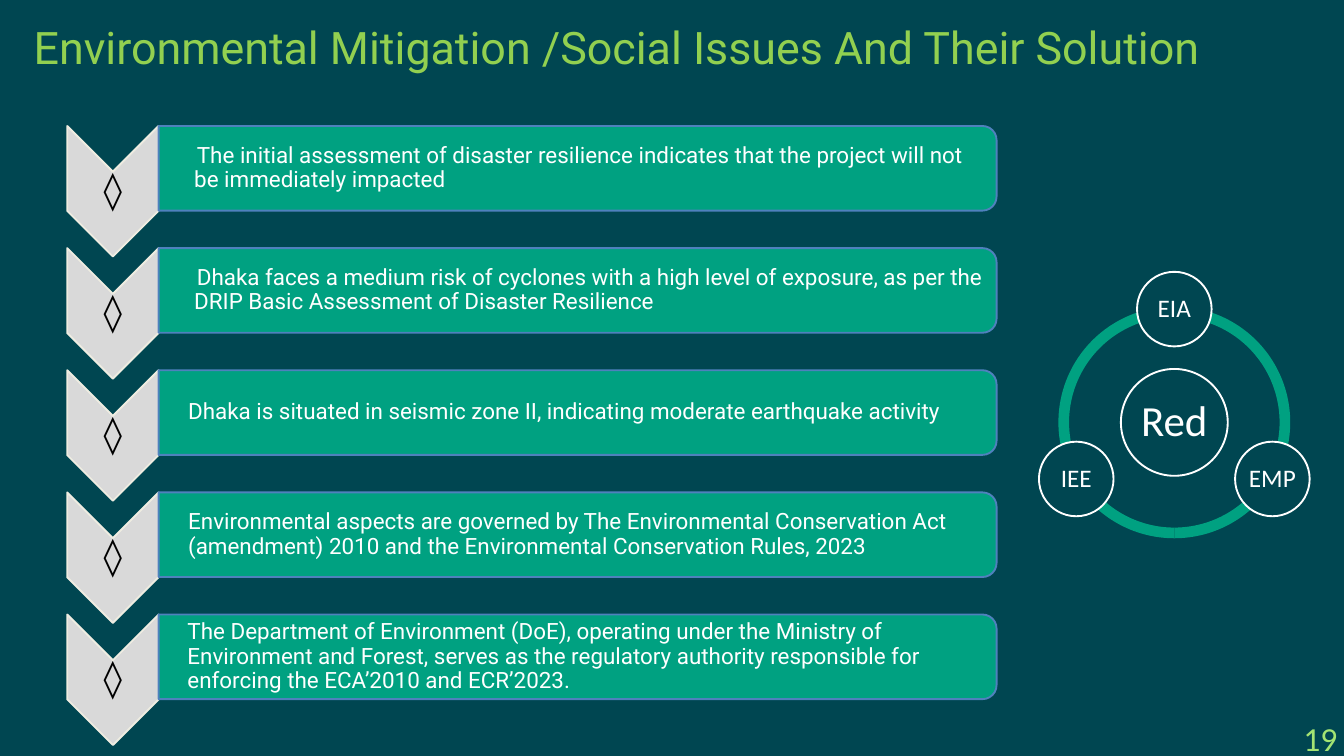
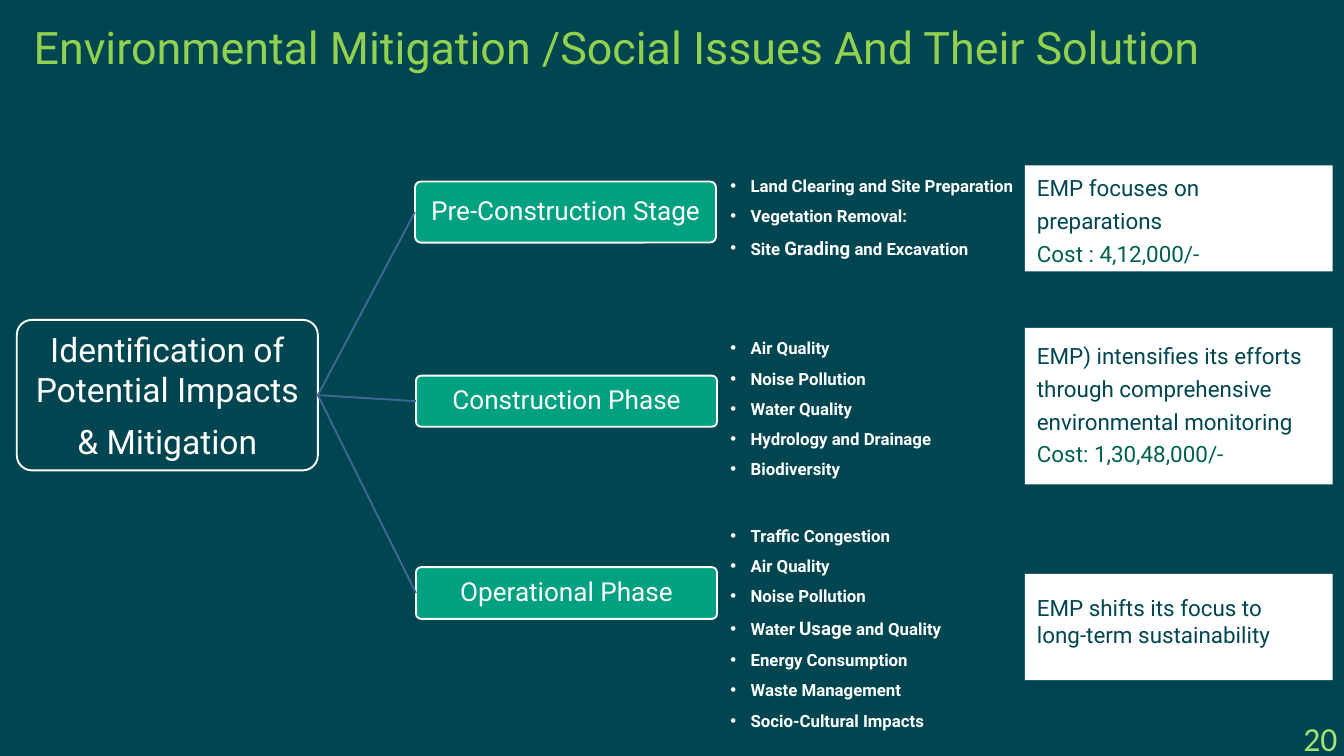
from dataclasses import dataclass
from math import cos, radians, sin

from lxml.etree import SubElement
from pptx import Presentation
from pptx.dml.color import RGBColor
from pptx.enum.shapes import MSO_CONNECTOR, MSO_SHAPE
from pptx.enum.text import MSO_ANCHOR, PP_ALIGN
from pptx.oxml.ns import qn
from pptx.util import Inches, Pt

COLUMNS, ROWS = 80, 45
CELL = Inches(0.25)

TEAL = RGBColor(0x00, 0x46, 0x51)
GREEN = RGBColor(0x00, 0xA1, 0x81)
LIME = RGBColor(0x92, 0xD0, 0x50)
PALE_LIME = RGBColor(0xA4, 0xE4, 0x73)
COST_GREEN = RGBColor(0x00, 0x60, 0x4E)
WHITE = RGBColor(0xFF, 0xFF, 0xFF)
BLACK = RGBColor(0x00, 0x00, 0x00)
GREY = RGBColor(0xD9, 0xD9, 0xD9)
CREAM = RGBColor(0xEE, 0xEC, 0xE1)
BLUE = RGBColor(0x4F, 0x81, 0xBD)
BRANCH_BLUE = RGBColor(0x3F, 0x67, 0x97)

TITLE = "Environmental Mitigation /Social Issues And Their Solution"

FINDINGS = [
    ("The initial assessment of disaster resilience indicates that the project "
     "will not be immediately impacted", 0.53, 0.04),
    ("Dhaka faces a medium risk of cyclones with a high level of exposure, as per "
     "the DRIP Basic Assessment of Disaster Resilience", 0.53, 0.04),
    ("Dhaka is situated in seismic zone II, indicating moderate earthquake activity",
     0.44, 0),
    ("Environmental aspects are governed by The Environmental Conservation Act "
     "(amendment) 2010 and the Environmental Conservation Rules, 2023", 0.44, 0),
    ("The Department of Environment (DoE), operating under the Ministry of "
     "Environment and Forest, serves as the regulatory authority responsible for "
     "enforcing the ECA’2010 and ECR’2023.", 0.43, 0),
]

STUDIES = [("EIA", -90), ("EMP", 30), ("IEE", 150)]
ARCS = [(90, 162), (18, 90), (162, 18)]


@dataclass
class Box:
    left: float
    top: float
    width: float
    height: float

    def inner(self, left, top, width, height):
        return Box(self.left + left, self.top + top, width, height)

    def centred(self, width, height, right=0, down=0):
        return self.inner((self.width - width) / 2 + right,
                          (self.height - height) / 2 + down, width, height)

    def emu(self):
        return [round(side * CELL)
                for side in (self.left, self.top, self.width, self.height)]


PHASES = [
    (Box(24.7, 10.8, 17.92, 3.64), "Pre-Construction Stage"),
    (Box(24.76, 22.36, 17.92, 3.04), "Construction Phase"),
    (Box(24.76, 33.76, 17.92, 3.08), "Operational Phase"),
]

IMPACTS = [
    (Box(42.32, 9.84, 20.68, 5.6),
     ["Land Clearing and Site Preparation", "Vegetation Removal:",
      ["Site ", ("Grading", 20), " and Excavation"]]),
    (Box(42.32, 19.52, 14.72, 9.2),
     ["Air Quality", "Noise Pollution", "Water Quality",
      "Hydrology and Drainage", "Biodiversity"]),
    (Box(42.32, 30.68, 14.72, 12.9),
     ["Traffic Congestion", "Air Quality", "Noise Pollution",
      ["Water ", ("Usage", 20), " and Quality"], "Energy Consumption",
      "Waste Management", "Socio-Cultural Impacts"]),
]

MEASURES = [
    (Box(61, 9.84, 18.32, 6.32), (0.18, 0.05, 0.93, 0), Pt(35),
     ["EMP focuses on preparations"], "Cost : 4,12,000/-"),
    (Box(61, 19.52, 18.32, 9.32), (0.18, 0.13, 0.35, 0), Pt(35),
     ["EMP) intensifies its efforts through comprehensive environmental monitoring"],
     "Cost: 1,30,48,000/-"),
    (Box(61, 34.16, 18.32, 6.32), (0.18, 0.3, 0.43, 0), None,
     ["EMP shifts its focus to", "long-term sustainability"], None),
]


def add_bullet(para):
    properties = para._p.get_or_add_pPr()
    SubElement(properties, qn("a:buFont")).set("typeface", "Arial")
    SubElement(properties, qn("a:buChar")).set("char", "•")


def write(shape, lines, size=24, font="Roboto", color=WHITE, bold=False,
          align=PP_ALIGN.LEFT, anchor=MSO_ANCHOR.TOP, insets=(0, 0, 0, 0),
          spacing=None, after=0, left=0, indent=0, bullet=False, last_color=None):
    frame = shape.text_frame
    frame.word_wrap = True
    frame.vertical_anchor = anchor
    (frame.margin_left, frame.margin_top,
     frame.margin_right, frame.margin_bottom) = map(Inches, insets)
    for number, line in enumerate(lines):
        para = frame.add_paragraph() if number else frame.paragraphs[0]
        para.alignment = align
        para.space_after = Pt(after)
        if spacing:
            para.line_spacing = spacing
        properties = para._p.get_or_add_pPr()
        properties.set("marL", str(Inches(left)))
        properties.set("indent", str(Inches(indent)))
        if bullet:
            add_bullet(para)
        para.font.size = Pt(size)
        is_last = number == len(lines) - 1
        for piece in [line] if isinstance(line, str) else line:
            text, span_size = (piece, size) if isinstance(piece, str) else piece
            span = para.add_run()
            span.text = text
            span.font.name = font
            span.font.size = Pt(span_size)
            span.font.bold = bold
            span.font.color.rgb = last_color if last_color and is_last else color


def add_text(page, box, lines, **style):
    write(page.shapes.add_textbox(*box.emu()), lines, **style)


def add_figure(page, kind, box, fill, line=None, turn=0):
    if turn:
        box = box.centred(box.height, box.width)
    shape = page.shapes.add_shape(kind, *box.emu())
    shape.shadow.inherit = False
    shape.rotation = turn
    shape.fill.solid()
    shape.fill.fore_color.rgb = fill
    if line:
        shape.line.color.rgb = line
        shape.line.width = Pt(2)
    else:
        shape.line.fill.background()
    return shape


def add_label(page, kind, box, lines, fill, size, **style):
    shape = add_figure(page, kind, box, fill, WHITE)
    if kind == MSO_SHAPE.ROUNDED_RECTANGLE:
        shape.adjustments[0] = 0.1
    write(shape, lines, size=size, align=PP_ALIGN.CENTER,
          anchor=MSO_ANCHOR.MIDDLE, **style)
    return shape


def add_page(deck, number):
    page = deck.slides.add_slide(deck.slide_layouts[6])
    page.background.fill.solid()
    page.background.fill.fore_color.rgb = TEAL
    add_text(page, Box(2, 1.16, 72.32, 3.24), [TITLE], size=48, color=LIME)
    add_text(page, Box(64.32, 42.84, 15.68, 2.16), [str(number)], size=36,
             font="Calibri", color=PALE_LIME, align=PP_ALIGN.RIGHT,
             anchor=MSO_ANCHOR.MIDDLE, insets=(0.1, 0, 0.1, 0))
    return page


def add_findings(page, box):
    pitch = 7.27
    for number, (text, left, indent) in enumerate(FINDINGS):
        top = number * pitch
        arrow = box.inner(0, top, 5.44, 7.77)
        bar = box.inner(5.44, top, 49.88, 5.04)
        add_figure(page, MSO_SHAPE.CHEVRON, arrow, GREY, CREAM, turn=90)
        add_text(page, arrow.centred(5.44, 2.32), ["◊"], size=40, font="Cambria",
                 color=BLACK, bold=True, align=PP_ALIGN.CENTER,
                 anchor=MSO_ANCHOR.MIDDLE, spacing=0.9)
        add_figure(page, MSO_SHAPE.ROUND_2_SAME_RECTANGLE, bar, GREEN, BLUE, turn=90)
        add_text(page, bar.inner(0, 0.24, 49.64, 4.56), [text],
                 anchor=MSO_ANCHOR.MIDDLE, insets=(0, 0.02, 0.02, 0.02),
                 spacing=0.9, left=left, indent=indent)


def add_ring(page, box):
    orbit = 6.74
    for start, end in ARCS:
        arc = add_figure(page, MSO_SHAPE.BLOCK_ARC, box, GREEN)
        for index, value in enumerate((start * 0.6, end * 0.6, 0.046)):
            arc.adjustments[index] = value
    add_label(page, MSO_SHAPE.OVAL, box.centred(6.36, 6.36), ["Red"], TEAL, 46,
              font="Calibri", spacing=0.9)
    for name, angle in STUDIES:
        spot = box.centred(4.44, 4.44, orbit * cos(radians(angle)),
                           orbit * sin(radians(angle)))
        add_label(page, MSO_SHAPE.OVAL, spot, [name], TEAL, 27,
                  font="Calibri", spacing=0.9)


def add_branch(page, root, phase):
    branch = page.shapes.add_connector(MSO_CONNECTOR.STRAIGHT, 0, 0, 0, 0)
    branch.begin_connect(root, 3)
    branch.end_connect(phase, 1)
    branch.line.color.rgb = BRANCH_BLUE
    branch.line.width = Pt(2)
    SubElement(branch._element.spPr, qn("a:effectLst"))


def add_phase_tree(page, box):
    root = add_label(page, MSO_SHAPE.ROUNDED_RECTANGLE, box,
                     ["Identification of Potential Impacts", "& Mitigation"],
                     TEAL, 36, after=12.6, insets=(0.1, 0.1, 0.1, 0.1))
    for place, name in PHASES:
        phase = add_label(page, MSO_SHAPE.ROUNDED_RECTANGLE, place, [name],
                          GREEN, 28, spacing=0.9)
        add_branch(page, root, phase)


def add_impacts(page):
    for place, lines in IMPACTS:
        add_text(page, place, lines, size=18, bold=True, spacing=1.5,
                 left=0.59, indent=-0.3, bullet=True)


def add_measures(page):
    for place, insets, spacing, lines, cost in MEASURES:
        card = add_figure(page, MSO_SHAPE.RECTANGLE, place, WHITE)
        write(card, lines + [cost] if cost else lines, color=TEAL, insets=insets,
              spacing=spacing, last_color=COST_GREEN if cost else None)


def main():
    deck = Presentation()
    deck.slide_width, deck.slide_height = COLUMNS * CELL, ROWS * CELL

    findings_page = add_page(deck, 19)
    add_ring(findings_page, Box(63, 18.24, 13.8, 13.8))
    add_findings(findings_page, Box(4, 7.5, 55.32, 36.85))

    phases_page = add_page(deck, 20)
    add_phase_tree(phases_page, Box(1, 19.04, 17.92, 8.96))
    add_impacts(phases_page)
    add_measures(phases_page)

    deck.save("out.pptx")


if __name__ == "__main__":
    main()
